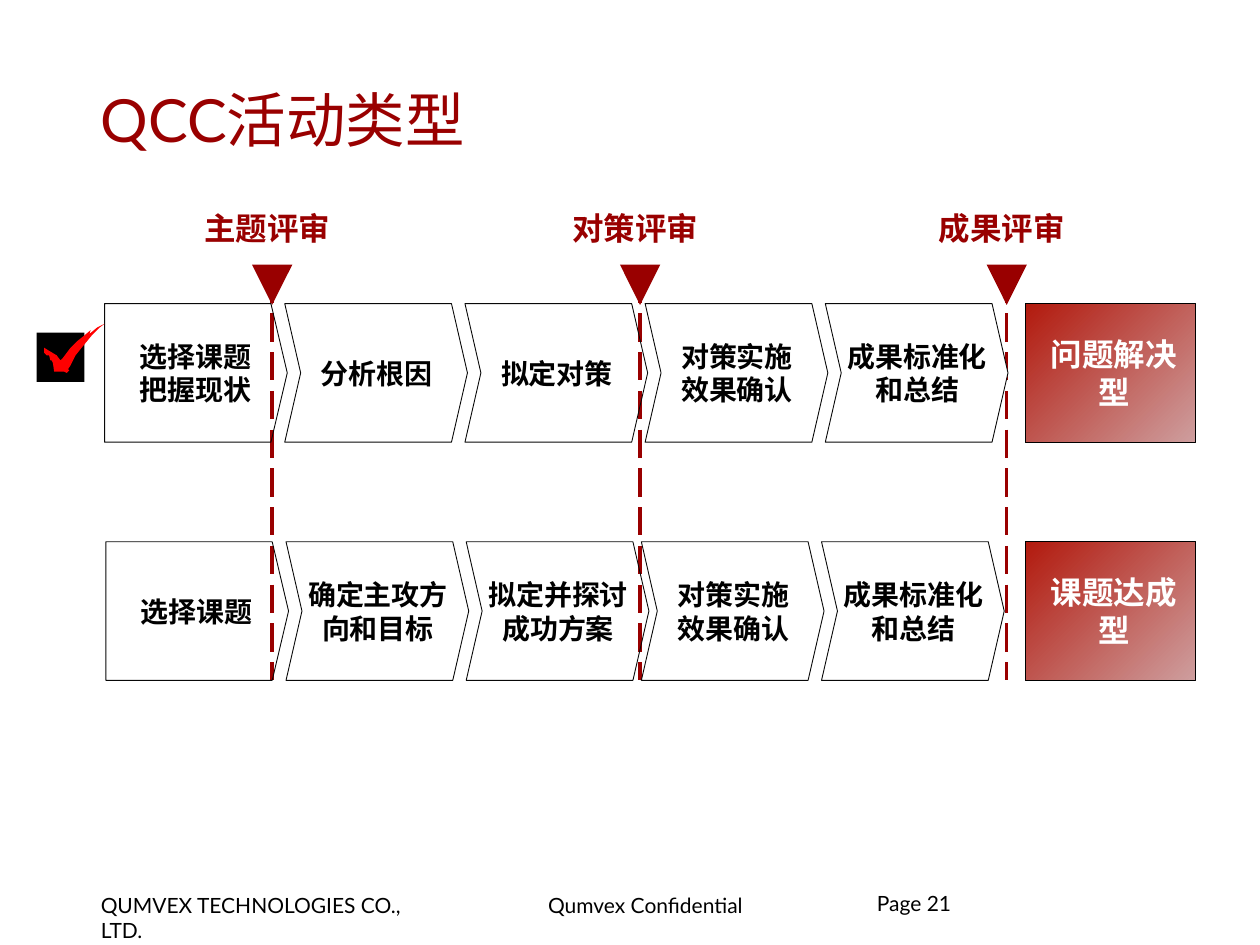
from lxml.etree import SubElement
from pptx import Presentation
from pptx.dml.color import RGBColor
from pptx.enum.dml import MSO_LINE
from pptx.enum.shapes import MSO_CONNECTOR, MSO_SHAPE
from pptx.enum.text import MSO_ANCHOR, MSO_AUTO_SIZE, PP_ALIGN
from pptx.oxml.ns import qn
from pptx.util import Inches, Pt

COLORS = {
    "red": "990000", "tick": "FF0000", "black": "000000", "white": "FFFFFF",
    "outline": "080808", "grad_dark": "B21A0E", "grad_light": "CE9E9E",
}
RGB = {name: RGBColor.from_string(value) for name, value in COLORS.items()}

prs = Presentation()
prs.slide_width, prs.slide_height = Inches(10), Inches(7.5)
slide = prs.slides.add_slide(prs.slide_layouts[5])
shapes = slide.shapes


def write(text, left, top, width, height, size=16, color="black", bold=False,
          align=PP_ALIGN.LEFT, anchor=MSO_ANCHOR.TOP, inset=(0, 0),
          wrap=True, spacing=None, holder=None):
    """Write text, one paragraph per line, in a new box or a given holder."""
    box = holder or shapes.add_textbox(0, 0, 0, 0)
    box.left, box.top = Inches(left), Inches(top)
    box.width, box.height = Inches(width), Inches(height)
    frame = box.text_frame
    frame.text = text
    frame.word_wrap = wrap
    frame.auto_size = MSO_AUTO_SIZE.NONE
    frame.vertical_anchor = anchor
    frame.margin_left = frame.margin_right = Inches(inset[0])
    frame.margin_top = frame.margin_bottom = Inches(inset[1])
    for paragraph in frame.paragraphs:
        paragraph.alignment = align
        paragraph.line_spacing = spacing
        font = paragraph.runs[0].font
        font.name, font.size, font.bold = "Lato", Pt(size), bold
        font.color.rgb = RGB[color]


def paint(shape, fill=None, line=None):
    """Give a shape a solid fill, a thin outline, or neither."""
    shape.shadow.inherit = False
    if fill:
        shape.fill.solid()
        shape.fill.fore_color.rgb = RGB[fill]
    else:
        shape.fill.background()
    if line:
        shape.line.color.rgb = RGB[line]
        shape.line.width = Pt(0.5)
    else:
        shape.line.fill.background()


PADDED = (0.09, 0.04)
CENTERED = dict(bold=True, align=PP_ALIGN.CENTER, anchor=MSO_ANCHOR.MIDDLE)

# Title
write("QCC活动类型", 0.71, 0.47, 8.47, 0.95, size=34, color="red",
      anchor=MSO_ANCHOR.MIDDLE, inset=PADDED, holder=shapes.title)

# Footer
write("QUMVEX TECHNOLOGIES CO., LTD.", 0.71, 7.04, 2.86, 0.29, size=12, inset=PADDED)
write("Qumvex Confidential", 4.26, 7.04, 1.78, 0.29, size=12, inset=PADDED, wrap=False)
write("Page 21", 6.96, 7.1, 2.29, 0.5, size=12, spacing=0.85)

# Review gates: dashed line, marker and label
for gate, line_x in (("主题评审", 2.16), ("对策评审", 5.08), ("成果评审", 7.99)):
    gate_line = shapes.add_connector(MSO_CONNECTOR.STRAIGHT, Inches(line_x), Inches(2.18),
                                     Inches(line_x), Inches(5.4))
    gate_line.line.color.rgb = RGB["red"]
    gate_line.line.width = Pt(2)
    gate_line.line.dash_style = MSO_LINE.LONG_DASH
    SubElement(gate_line._element.spPr, qn("a:effectLst"))
    marker = shapes.add_shape(MSO_SHAPE.FLOWCHART_MERGE, Inches(line_x - 0.16),
                              Inches(2.1), Inches(0.32), Inches(0.32))
    paint(marker, fill="red")
    write(gate, line_x - 0.63, 1.62, 1.17, 0.39, size=18, color="red",
          bold=True, inset=PADDED, wrap=False)

# Process rows: top, left, shift of the last two steps, steps, type
STEP_PITCH, STEP_WIDTH, ROW_HEIGHT = 1.43, 1.45, 1.1
ROWS = [
    (2.41, 0.83, 0,
     ["选择课题\n把握现状", "分析根因", "拟定对策", "对策实施\n效果确认", "成果标准化和总结"],
     "问题解决型"),
    (4.3, 0.84, -0.04,
     ["选择课题", "确定主攻方向和目标", "拟定并探讨成功方案", "对策实施\n效果确认",
      "成果标准化和总结"],
     "课题达成型"),
]
for top, row_left, shift, steps, type_name in ROWS:
    for i, step in enumerate(steps):
        left = row_left + i * STEP_PITCH + (shift if i >= 3 else 0)
        first, last = i == 0, i == len(steps) - 1
        arrow = shapes.add_shape(MSO_SHAPE.PENTAGON if first else MSO_SHAPE.CHEVRON,
                                 Inches(left), Inches(top),
                                 Inches(STEP_WIDTH), Inches(ROW_HEIGHT))
        arrow.adjustments[0] = 0.118 if first else 0.115
        paint(arrow, fill="white" if last else None, line="outline")
        indent = 0.08 if first else 0.15
        write(step, left + indent, top + 0.28, 1.28 if first else 1.16, 0.54, **CENTERED)

    type_block = shapes.add_shape(MSO_SHAPE.RECTANGLE, Inches(8.14), Inches(top),
                                  Inches(1.35), Inches(ROW_HEIGHT))
    paint(type_block, line="black")
    type_block.fill.gradient()
    type_block.fill.gradient_angle = 315
    for stop, position, shade in zip(type_block.fill.gradient_stops, (0, 1),
                                     ("grad_dark", "grad_light")):
        stop.position = position
        stop.color.rgb = RGB[shade]
    write(type_name, 8.26, top + 0.25, 1.16, 0.6, size=18, color="white", **CENTERED)

# Check box with a brush tick, outlined in hundredths of an inch
check_box = shapes.add_shape(MSO_SHAPE.RECTANGLE, Inches(0.29), Inches(2.64),
                             Inches(0.38), Inches(0.39))
paint(check_box, fill="black")
TICK = [(43, 295), (42, 288), (41, 286), (40, 286), (39, 282), (37, 282), (35, 280),
        (35, 276), (40, 279), (45, 282), (48, 286), (50, 284), (56, 276), (61, 271),
        (66, 267), (72, 262), (71, 265), (77, 260), (83, 257), (79, 260), (73, 266),
        (64, 277), (60, 282), (56, 290), (54, 293), (55, 294), (53, 296), (51, 295)]
outline = shapes.build_freeform(*TICK[0], scale=Inches(0.01))
outline.add_line_segments(TICK[1:], close=True)
paint(outline.convert_to_shape(), fill="tick")

prs.save("out.pptx")
